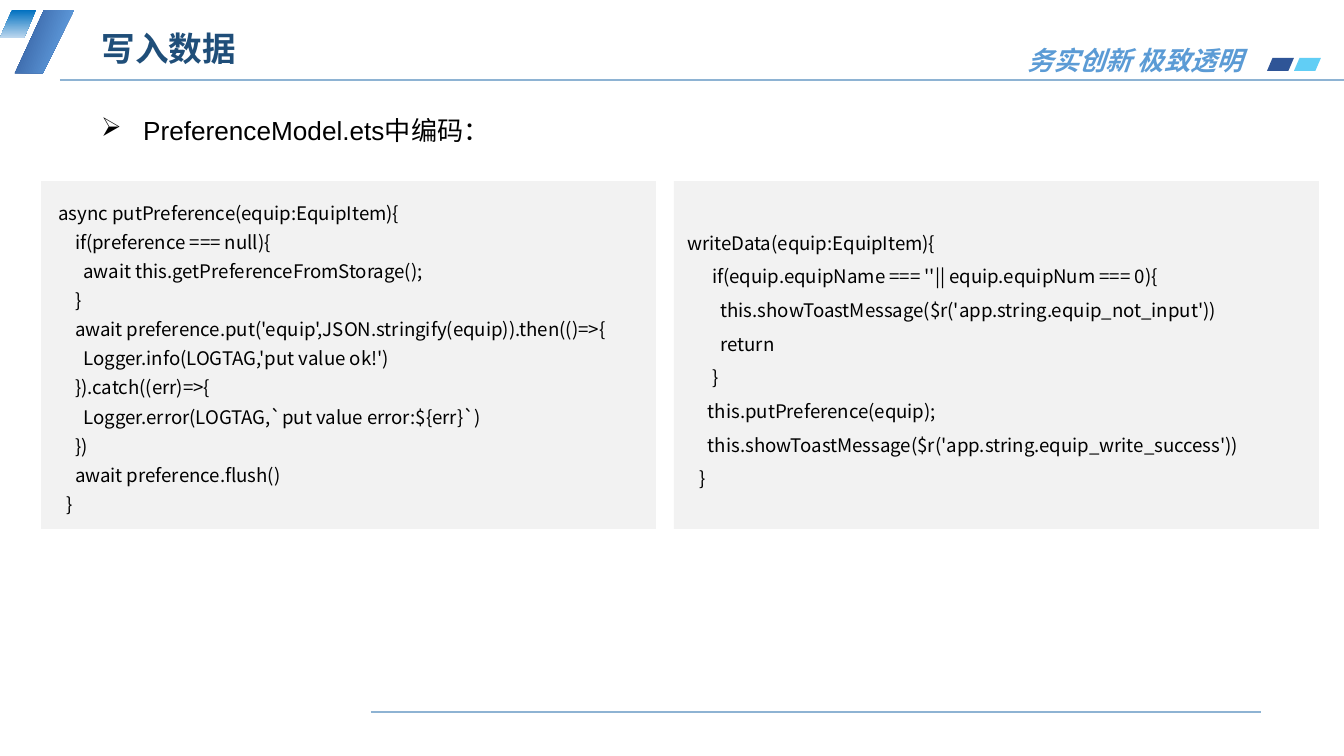
from lxml import etree
from pptx import Presentation
from pptx.dml.color import RGBColor
from pptx.enum.shapes import MSO_CONNECTOR, MSO_SHAPE
from pptx.enum.text import MSO_ANCHOR, MSO_AUTO_SIZE, PP_ALIGN
from pptx.oxml.ns import qn
from pptx.util import Emu, Pt

SCALE = 914400 / 134.4
STRAIGHT = MSO_CONNECTOR.STRAIGHT
SLANT, RECT = MSO_SHAPE.PARALLELOGRAM, MSO_SHAPE.RECTANGLE
MIDDLE, TOP = MSO_ANCHOR.MIDDLE, MSO_ANCHOR.TOP
LEFT, CENTER = PP_ALIGN.LEFT, PP_ALIGN.CENTER
FIXED = MSO_AUTO_SIZE.NONE
SANS, CJK = "Arial", "Noto Sans CJK SC"

PUT_CODE = """\
 async putPreference(equip:EquipItem){
     if(preference === null){
       await this.getPreferenceFromStorage();
     }
     await preference.put('equip',JSON.stringify(equip)).then(()=>{
       Logger.info(LOGTAG,'put value ok!')
     }).catch((err)=>{
       Logger.error(LOGTAG,`put value error:${err}`)
     })
     await preference.flush()
   }"""

SAVE_CODE = """\
writeData(equip:EquipItem){
      if(equip.equipName === ''|| equip.equipNum === 0){
        this.showToastMessage($r('app.string.equip_not_input'))
        return
      }
     this.putPreference(equip);
     this.showToastMessage($r('app.string.equip_write_success'))
   }"""


def px(n):
    return Emu(round(n * SCALE))


def rgb(code):
    return RGBColor.from_string(code)


class Deck:
    """Holds the style and the current slide."""

    def __init__(self, wide, high):
        self.prs = Presentation()
        self.prs.slide_width, self.prs.slide_height = px(wide), px(high)
        self.slide = self.prs.slides.add_slide(self.prs.slide_layouts[5])
        self.shapes = self.slide.shapes

    def fill_text(self, frame, text, size, color, face=SANS, bold=None, slope=None,
                  align=LEFT, space=None, anchor=TOP, wrap=True, bullet=None):
        frame.word_wrap = wrap
        frame.auto_size = FIXED
        frame.vertical_anchor = anchor
        frame.text = text
        for para in frame.paragraphs:
            para.alignment = align
            if space:
                para.line_spacing = space
            if bullet:
                props = para._p.get_or_add_pPr()
                props.set("marL", str(px(42)))
                props.set("indent", str(-px(42)))
                etree.SubElement(props, qn("a:buChar")).set("char", bullet)
            font = para.font
            font.name, font.size = face, Pt(size)
            font.bold, font.italic = bold, slope
            font.color.rgb = rgb(color)
            east = etree.SubElement(para._p.pPr.find(qn("a:defRPr")), qn("a:ea"))
            east.set("typeface", CJK)

    def title(self, box, text, **style):
        shape = self.shapes.title
        shape.left, shape.top, shape.width, shape.height = map(px, box)
        self.fill_text(shape.text_frame, text, **style)

    def text(self, box, text, **style):
        shape = self.shapes.add_textbox(*map(px, box))
        self.fill_text(shape.text_frame, text, **style)

    def paint(self, shape, color, fade=None, angle=0, alpha=None):
        shape.shadow.inherit = False
        shape.line.fill.background()
        fill = shape.fill
        if fade:
            fill.gradient()
            fill.gradient_angle = 360 - angle
            for stop, tone in zip(fill.gradient_stops, (color, fade)):
                stop.color.rgb = rgb(tone)
        else:
            fill.solid()
            fill.fore_color.rgb = rgb(color)
        if alpha:
            tone = shape._element.spPr.find(".//" + qn("a:srgbClr"))
            etree.SubElement(tone, qn("a:alpha")).set("val", str(alpha * 1000))

    def slant(self, box, color, **style):
        shape = self.shapes.add_shape(SLANT, *map(px, box))
        shape.adjustments[0] = 0.43
        self.paint(shape, color, **style)

    def outline(self, points, color, **style):
        build = self.shapes.build_freeform(*points[0], scale=SCALE)
        build.add_line_segments(points[1:], close=True)
        self.paint(build.convert_to_shape(), color, **style)

    def code(self, box, text, space):
        shape = self.shapes.add_shape(RECT, *map(px, box))
        self.paint(shape, "F2F2F2")
        self.fill_text(shape.text_frame, text, size=10, color="000000", face=CJK,
                       space=space, anchor=MIDDLE)

    def rule(self, start, end, y):
        line = self.shapes.add_connector(STRAIGHT, px(start), px(y), px(end), px(y))
        line.line.color.rgb = rgb("8EB3D3")
        line.line.width = Pt(1)
        etree.SubElement(line._element.spPr, qn("a:effectLst"))

    def save(self):
        self.prs.save("out.pptx")


def main():
    deck = Deck(1344, 756)
    deck.rule(60, 1344, 80)
    deck.slant((1267, 58, 27, 13), "2F5597")
    deck.slant((1294, 58, 27, 13), "00B0F0", alpha=62)
    deck.rule(371, 1261, 712)
    deck.outline([(15, 73), (44, 10), (74, 10), (43, 73)], "2F5597",
                 fade="6CAFEF", angle=20)
    deck.slant((0, 10, 36, 28), "0070C0", fade="BDD7EE", angle=90)
    deck.text((1012, 38, 246, 45), "务实创新 极致透明", size=14, color="5B9BD5",
              face=CJK, bold=True, slope=True, align=CENTER, wrap=False)
    deck.title((88, 24, 472, 54), "写入数据", size=18, color="1F4E79",
               bold=True, space=0.9, anchor=MIDDLE)
    deck.text((88, 108, 672, 45), "PreferenceModel.ets中编码：", size=14,
              color="000000", bullet="➢")
    deck.code((41, 181, 615, 348), PUT_CODE, 1.3)
    deck.code((674, 181, 645, 348), SAVE_CODE, 1.5)
    deck.save()


if __name__ == "__main__":
    main()
